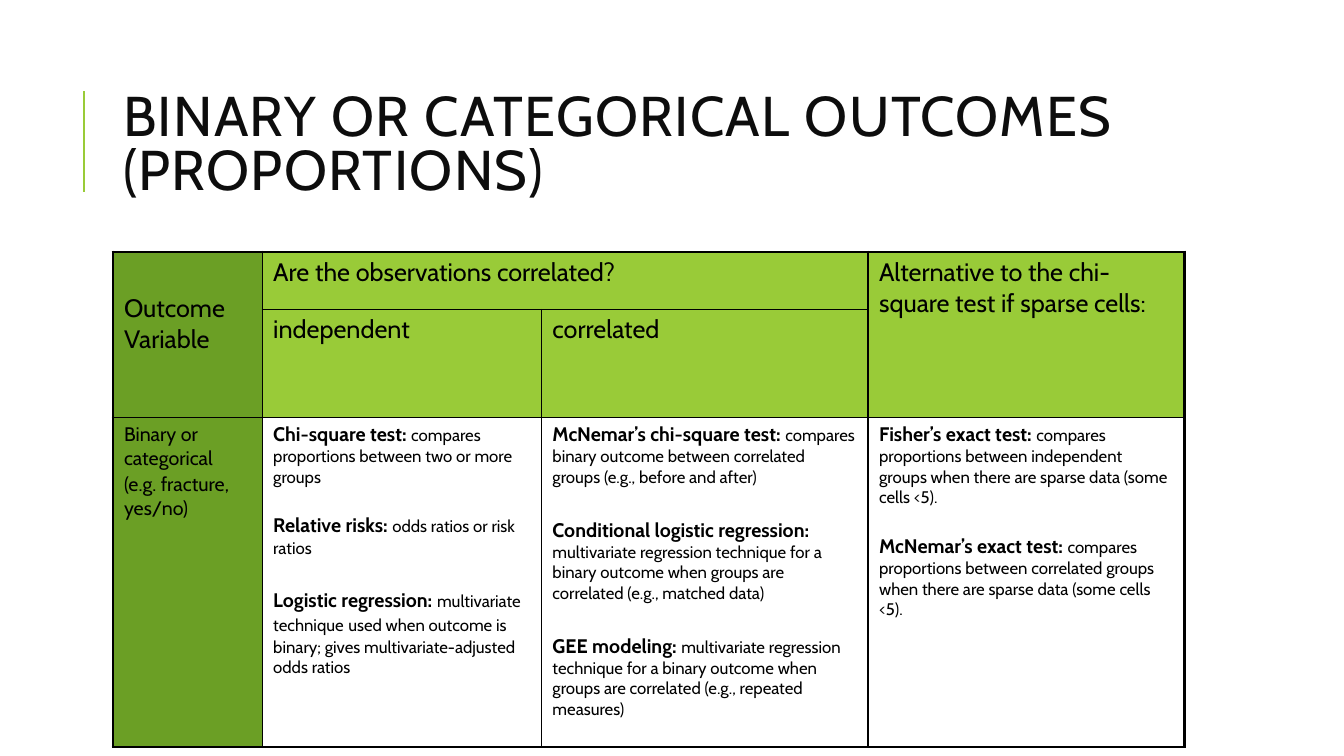
from lxml.etree import SubElement
from pptx import Presentation
from pptx.dml.color import RGBColor
from pptx.enum.shapes import MSO_CONNECTOR
from pptx.enum.text import MSO_ANCHOR, PP_ALIGN
from pptx.oxml.ns import qn
from pptx.util import Inches, Pt

FONT = "Cabin"
HEX = {"ink": "000000", "title": "0D0D0D", "lime": "99CB38", "green": "6B9F25"}
COLS = [1.48, 2.77, 3.24, 3.14]
ROWS = [0.57, 1.07, 3.27]
THIN, THICK = 1, 2.25

# (row, column, last row, last column, text, fill)
HEADS = [
    (0, 0, 1, 0, "Outcome Variable", "green"),
    (0, 1, 0, 2, "Are the observations correlated?", "lime"),
    (0, 3, 1, 3, "Alternative to the chi-square test if sparse cells:", "lime"),
    (1, 1, 1, 1, "independent", "lime"),
    (1, 2, 1, 2, "correlated", "lime"),
]
OUTCOME = ["Binary or categorical", "(e.g. fracture, yes/no)"]

# For each column: gaps before its paragraphs, then (text, size, bold) runs
TESTS = [
    ([0, 19, 22], [
        [("Chi-square test: ", 14, True),
         ("compares proportions between two or more groups", 12, False)],
        [("Relative risks: ", 14, True), ("odds ratios or risk ratios", 12, False)],
        [("Logistic regression: ", 14, True), ("multivariate technique", 12, False),
         (" ", 14, False),
         ("used when outcome is binary; gives multivariate-adjusted odds ratios",
          12, False)],
    ]),
    ([0, 22, 22], [
        [("McNemar’s chi-square test: ", 14, True),
         ("compares binary outcome between correlated groups "
          "(e.g., before and after)", 12, False)],
        [("Conditional logistic regression: ", 14, True),
         ("multivariate regression technique for a binary outcome when groups "
          "are correlated (e.g., matched data)", 12, False)],
        [("GEE modeling: ", 14, True),
         ("multivariate regression technique for a binary outcome when groups "
          "are correlated (e.g., repeated measures)", 12, False)],
    ]),
    ([0, 19], [
        [("Fisher’s exact test: ", 14, True),
         ("compares proportions between independent groups when there are "
          "sparse data (some cells <5).", 12, False)],
        [("McNemar’s exact test: ", 14, True),
         ("compares proportions between correlated groups when there are "
          "sparse data (some cells <5).", 12, False)],
    ]),
]


def paint(font, size, color="ink", bold=False):
    font.name, font.size, font.bold = FONT, Pt(size), bold
    font.color.rgb = RGBColor.from_string(HEX[color])


def write(cell, paras, gaps):
    """Fill a cell with paragraphs of (text, size, bold) runs."""
    frame = cell.text_frame
    for i, (runs, gap) in enumerate(zip(paras, gaps)):
        para = frame.paragraphs[0] if i == 0 else frame.add_paragraph()
        para.space_before = Pt(gap)
        for text, size, bold in runs:
            run = para.add_run()
            run.text = text
            paint(run.font, size, bold=bold)


def border(cell, row, col):
    """Draw thick lines on the table's rim and thin ones inside."""
    rims = {"L": col == 0, "R": col == len(COLS) - 1,
            "T": row == 0, "B": row == len(ROWS) - 1}
    props = cell._tc.get_or_add_tcPr()
    for side, rim in rims.items():
        line = SubElement(props, qn(f"a:ln{side}"), w=str(Pt(THICK if rim else THIN)))
        fill = SubElement(line, qn("a:solidFill"))
        SubElement(fill, qn("a:srgbClr"), val=HEX["ink"])


def add_title(slide, left, top, width, height):
    title = slide.shapes.title
    title.left, title.top = Inches(left), Inches(top)
    title.width, title.height = Inches(width), Inches(height)
    frame = title.text_frame
    frame.text = "BINARY OR CATEGORICAL OUTCOMES (PROPORTIONS)"
    frame.word_wrap = True
    frame.vertical_anchor = MSO_ANCHOR.MIDDLE
    para = frame.paragraphs[0]
    para.alignment, para.line_spacing = PP_ALIGN.LEFT, 0.8
    run = para.runs[0]
    paint(run.font, 40, "title")
    run._r.get_or_add_rPr().set("spc", "100")

    x, y = Inches(left - 0.29), Inches(top + 0.26)
    rule = slide.shapes.add_connector(MSO_CONNECTOR.STRAIGHT, x, y + Inches(1), x, y)
    rule.line.color.rgb = RGBColor.from_string(HEX["lime"])
    rule.line.width = Pt(1.5)
    SubElement(rule._element.spPr, qn("a:effectLst"))


def add_grid(slide, left, top):
    table = slide.shapes.add_table(
        len(ROWS), len(COLS), Inches(left), Inches(top),
        Inches(sum(COLS)), Inches(sum(ROWS))).table
    table.first_row = table.horz_banding = False
    for col, width in zip(table.columns, COLS):
        col.width = Inches(width)
    for row, height in zip(table.rows, ROWS):
        row.height = Inches(height)
    for r in range(len(ROWS)):
        for c in range(len(COLS)):
            cell = table.cell(r, c)
            cell.margin_left = cell.margin_right = Inches(0.11)
            border(cell, r, c)
            if r == 2 and c > 0:
                cell.fill.background()
            else:
                cell.fill.solid()
                color = HEX["lime" if c else "green"]
                cell.fill.fore_color.rgb = RGBColor.from_string(color)

    for r, c, last, end, text, _ in HEADS:
        cell = table.cell(r, c)
        if (r, c) != (last, end):
            cell.merge(table.cell(last, end))
        write(cell, [[(text, 18, False)]], [0])
    table.cell(0, 0).margin_top = Inches(0.41)
    write(table.cell(2, 0), [[(text, 14, False)] for text in OUTCOME], [0, 2])
    for c, (gaps, paras) in enumerate(TESTS, 1):
        write(table.cell(2, c), paras, gaps)


def main():
    deck = Presentation()
    deck.slide_width, deck.slide_height = Inches(13.33), Inches(7.5)
    slide = deck.slides.add_slide(deck.slide_layouts[5])
    add_title(slide, 1.12, 0.64, 10.63, 1.64)
    add_grid(slide, 1.12, 2.5)
    deck.save("out.pptx")


if __name__ == "__main__":
    main()
